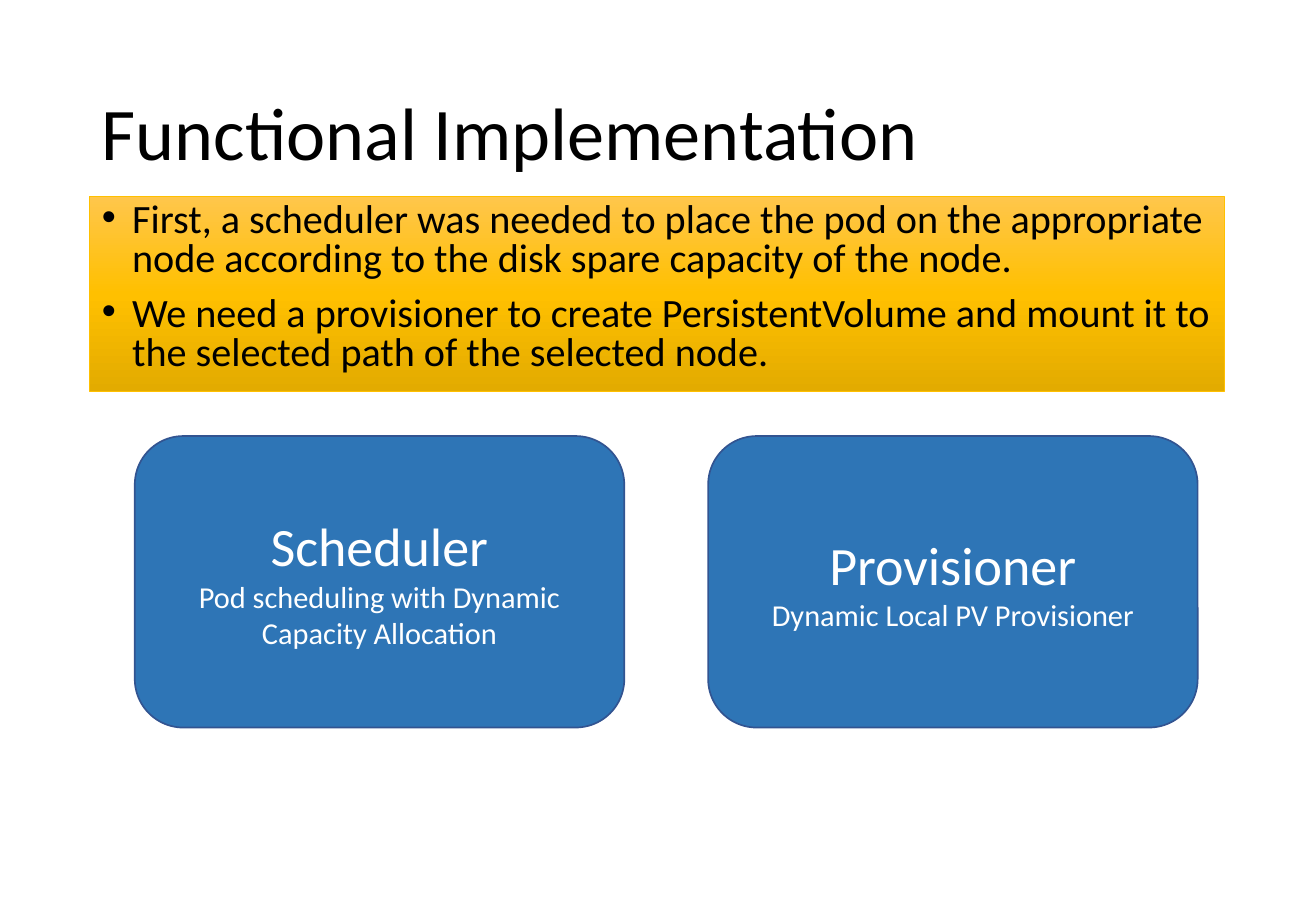
from copy import deepcopy
from dataclasses import dataclass

from lxml.etree import SubElement
from pptx import Presentation
from pptx.dml.color import RGBColor
from pptx.enum.shapes import MSO_SHAPE
from pptx.enum.text import MSO_ANCHOR, PP_ALIGN
from pptx.oxml.ns import qn
from pptx.shapes.autoshape import Shape
from pptx.slide import Slide
from pptx.text.text import TextFrame
from pptx.util import Pt

BLACK = RGBColor(0x00, 0x00, 0x00)
WHITE = RGBColor(0xFF, 0xFF, 0xFF)
BLUE = RGBColor(0x2E, 0x75, 0xB6)
DARK_BLUE = RGBColor(0x32, 0x54, 0x91)
GOLD = RGBColor(0xFF, 0xC0, 0x00)
LIGHT_GOLD = RGBColor(0xFF, 0xC6, 0x4B)
DARK_GOLD = RGBColor(0xE3, 0xAB, 0x00)

FONT = "Calibri"
LEFT, WIDTH = 53.28, 672.48
BULLET_INDENT = 18


@dataclass(frozen=True)
class Box:
    left: float
    top: float
    width: float
    height: float

    def lengths(self) -> tuple[Pt, Pt, Pt, Pt]:
        return Pt(self.left), Pt(self.top), Pt(self.width), Pt(self.height)


@dataclass(frozen=True)
class Line:
    text: str
    size: float
    color: RGBColor


@dataclass(frozen=True)
class Component:
    name: str
    role: str
    left: float


TITLE = Line("Functional Implementation", 44, BLACK)
NEEDS = [
    Line(text, 23.8, BLACK)
    for text in (
        "First, a scheduler was needed to place the pod on the appropriate node "
        "according to the disk spare capacity of the node.",
        "We need a provisioner to create PersistentVolume and mount it to "
        "the selected path of the selected node.",
    )
]
COMPONENTS = [
    Component("Scheduler", "Pod scheduling with Dynamic Capacity Allocation", 79.92),
    Component("Provisioner", "Dynamic Local PV Provisioner", 419.76),
]


def write_lines(frame: TextFrame, lines: list[Line], anchor: MSO_ANCHOR,
                paragraph_format: dict[str, object]) -> None:
    frame.word_wrap = True
    frame.vertical_anchor = anchor
    for index, line in enumerate(lines):
        paragraph = frame.add_paragraph() if index else frame.paragraphs[0]
        for name, value in paragraph_format.items():
            setattr(paragraph, name, value)
        run = paragraph.add_run()
        run.text = line.text
        font_format = {"name": FONT, "size": Pt(line.size)}
        for name, value in font_format.items():
            setattr(run.font, name, value)
        run.font.color.rgb = line.color


def add_outlined_shape(slide: Slide, kind: MSO_SHAPE, box: Box,
                       line_color: RGBColor, line_width: float) -> Shape:
    shape = slide.shapes.add_shape(kind, *box.lengths())
    shape.shadow.inherit = False
    shape.line.color.rgb = line_color
    shape.line.width = Pt(line_width)
    return shape


def fill_downwards(shape: Shape, colors: list[RGBColor]) -> None:
    """Fill with a top-to-bottom gradient of evenly spaced colours."""
    shape.fill.gradient()
    shape.fill.gradient_angle = 270
    stop_list = shape.element.spPr.find(f".//{qn('a:gsLst')}")
    while len(stop_list) < len(colors):
        stop_list.append(deepcopy(stop_list[0]))
    for index, (stop, color) in enumerate(zip(shape.fill.gradient_stops, colors)):
        stop.color.rgb = color
        stop.position = index / (len(colors) - 1)


def add_bullets(frame: TextFrame) -> None:
    for paragraph in frame.paragraphs:
        properties = paragraph._p.get_or_add_pPr()
        properties.set("marL", str(Pt(BULLET_INDENT)))
        properties.set("indent", str(-Pt(BULLET_INDENT)))
        SubElement(properties, qn("a:buFont"), typeface="Arial")
        SubElement(properties, qn("a:buChar"), char="•")


def add_title(slide: Slide) -> None:
    title = slide.shapes.add_textbox(*Box(LEFT, 28.8, WIDTH, 104.4).lengths())
    write_lines(title.text_frame, [TITLE], MSO_ANCHOR.MIDDLE, {"line_spacing": 0.9})


def add_needs(slide: Slide) -> None:
    panel = add_outlined_shape(slide, MSO_SHAPE.RECTANGLE,
                               Box(LEFT, 116.64, WIDTH, 115.2), GOLD, 0.5)
    fill_downwards(panel, [LIGHT_GOLD, GOLD, DARK_GOLD])
    write_lines(panel.text_frame, NEEDS, MSO_ANCHOR.TOP, {
        "alignment": PP_ALIGN.LEFT, "line_spacing": 0.8, "space_before": Pt(10)})
    add_bullets(panel.text_frame)


def add_component(slide: Slide, component: Component) -> None:
    card = add_outlined_shape(slide, MSO_SHAPE.ROUNDED_RECTANGLE,
                              Box(component.left, 258.48, 290.16, 172.8), DARK_BLUE, 1)
    card.fill.solid()
    card.fill.fore_color.rgb = BLUE
    lines = [Line(component.name, 32, WHITE), Line(component.role, 18, WHITE)]
    write_lines(card.text_frame, lines, MSO_ANCHOR.MIDDLE,
                {"alignment": PP_ALIGN.CENTER})


def main() -> None:
    presentation = Presentation()
    presentation.slide_width = Pt(780)
    presentation.slide_height = Pt(540)
    slide = presentation.slides.add_slide(presentation.slide_layouts[6])
    add_title(slide)
    add_needs(slide)
    for component in COMPONENTS:
        add_component(slide, component)
    presentation.save("out.pptx")


if __name__ == "__main__":
    main()
